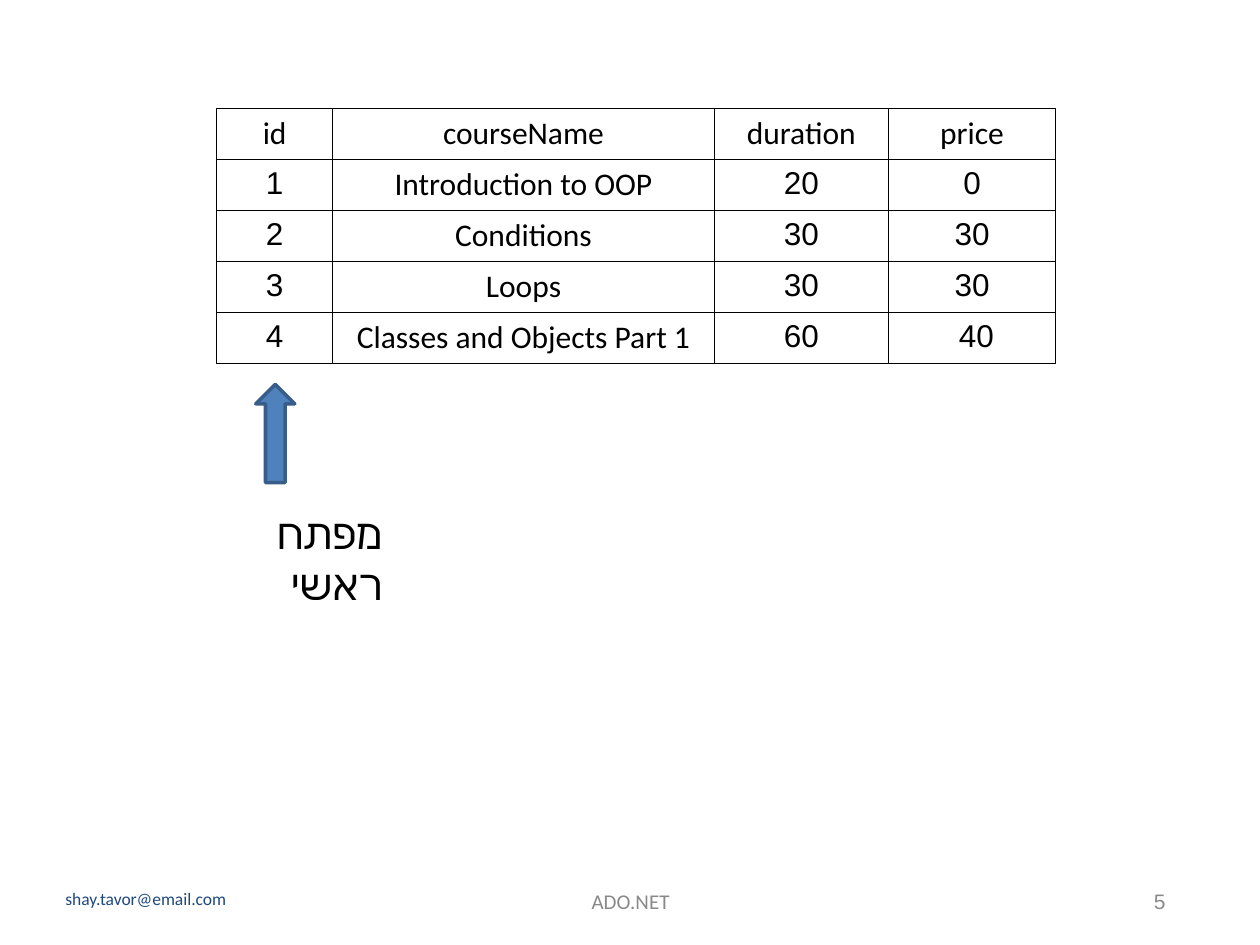
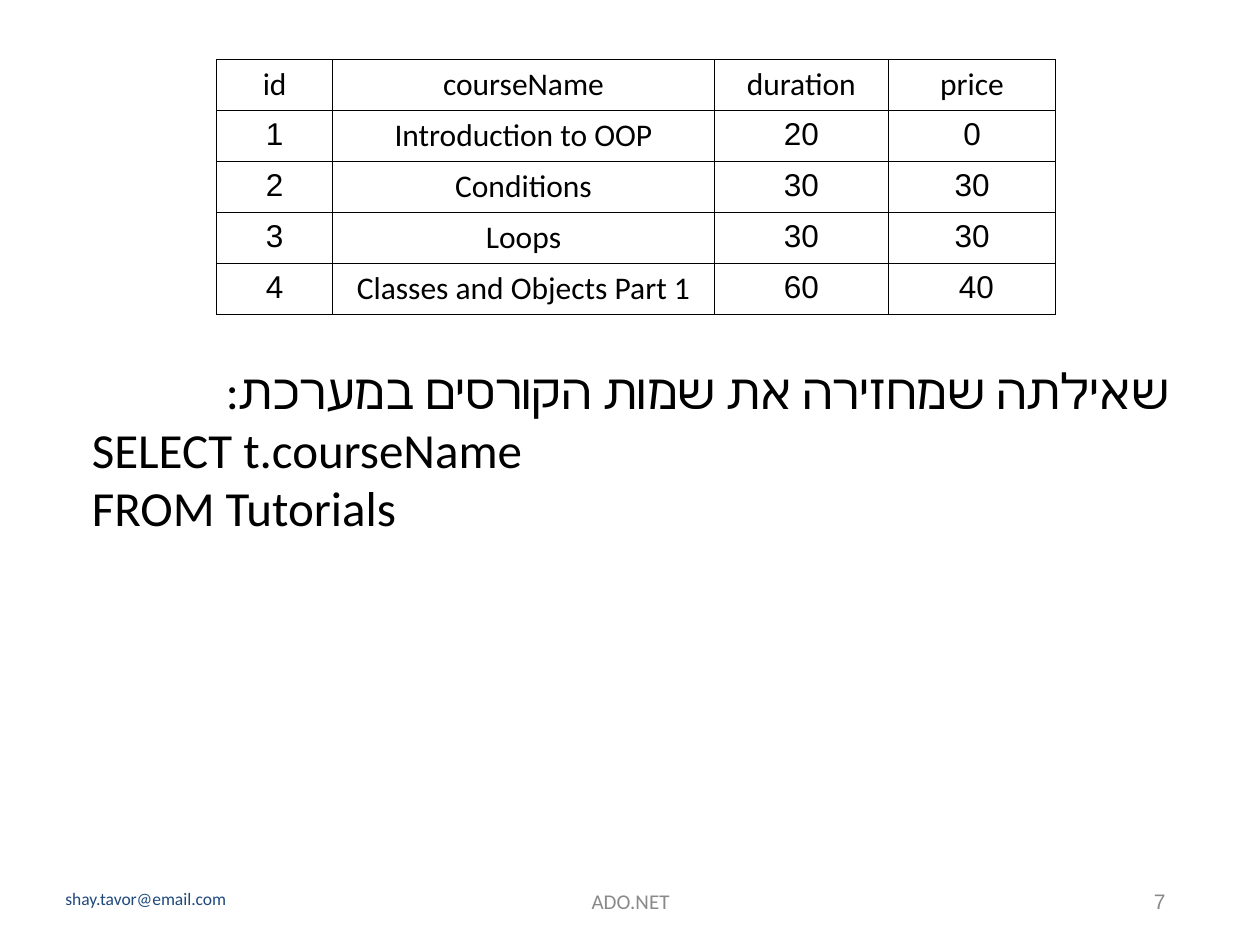
from dataclasses import dataclass

from lxml.etree import SubElement
from pptx import Presentation
from pptx.dml.color import RGBColor
from pptx.enum.shapes import MSO_SHAPE
from pptx.enum.text import MSO_ANCHOR, MSO_AUTO_SIZE, PP_ALIGN
from pptx.oxml.ns import qn
from pptx.util import Emu, Inches, Pt

COLORS = {"text": "000000", "email": "1F497D", "footer": "898989",
          "arrow": "4F81BD", "arrow_edge": "385D8A", "border": "000000"}
FONT = "Calibri"
DIGIT_FONT = "Arial"  # complex-script face, used for right-to-left digits
WIDTH, HEIGHT = Inches(10), Inches(7.5)
BLANK_LAYOUT = 6

COURSES = [
    ("id", "courseName", "duration", "price"),
    ("1", "Introduction to OOP", "20", "0"),
    ("2", "Conditions", "30", "30"),
    ("3", "Loops", "30", "30"),
    ("4", "Classes and Objects Part 1", "60", "40 "),
]
COLUMN_SHARES = (9.2, 30.3, 13.8, 13.3)


@dataclass(frozen=True)
class Area:
    """A rectangle in percent of the slide's width and height."""
    left: float
    top: float
    width: float
    height: float

    def lengths(self) -> tuple:
        return (Emu(int(WIDTH * self.left / 100)), Emu(int(HEIGHT * self.top / 100)),
                Emu(int(WIDTH * self.width / 100)), Emu(int(HEIGHT * self.height / 100)))


@dataclass(frozen=True)
class Line:
    """One paragraph and its format."""
    text: str
    size: float
    color: str = "text"
    align: PP_ALIGN = PP_ALIGN.LEFT
    rtl: bool = False
    complex_font: str = FONT


EMAIL_AREA = Area(4.2, 93.33, 28.1, 3.6)
FOOTER_AREA = Area(34.2, 92.67, 31.7, 5.33)
NUMBER_AREA = Area(90.6, 92.67, 4.4, 5.33)


def rgb(name: str) -> RGBColor:
    return RGBColor.from_string(COLORS[name])


def write(para, line: Line) -> None:
    para.alignment = line.align
    if line.rtl:
        para._p.get_or_add_pPr().set("rtl", "1")
    span = para.add_run()
    span.text = line.text
    for key, value in {"size": Pt(line.size), "name": FONT}.items():
        setattr(span.font, key, value)
    span.font.color.rgb = rgb(line.color)
    SubElement(span._r.get_or_add_rPr(), qn("a:cs"), typeface=line.complex_font)


def add_text(page, area: Area, lines: list[Line], middle: bool = False) -> None:
    frame = page.shapes.add_textbox(*area.lengths()).text_frame
    settings = {
        "word_wrap": True,
        "vertical_anchor": MSO_ANCHOR.MIDDLE if middle else MSO_ANCHOR.TOP,
        "auto_size": MSO_AUTO_SIZE.NONE if middle else MSO_AUTO_SIZE.SHAPE_TO_FIT_TEXT,
    }
    for key, value in settings.items():
        setattr(frame, key, value)
    for index, line in enumerate(lines):
        write(frame.add_paragraph() if index else frame.paragraphs[0], line)


def add_borders(cell) -> None:
    properties = cell._tc.get_or_add_tcPr()
    for side in ("lnL", "lnR", "lnT", "lnB"):
        edge = SubElement(properties, qn(f"a:{side}"), w=str(Pt(0.45)))
        fill = SubElement(edge, qn("a:solidFill"))
        SubElement(fill, qn("a:srgbClr"), val=COLORS["border"])


def add_courses(page, top: float) -> None:
    area = Area(17.2, top, sum(COLUMN_SHARES), 27)
    table = page.shapes.add_table(len(COURSES), len(COLUMN_SHARES), *area.lengths()).table
    for key in ("first_row", "horz_banding"):
        setattr(table, key, False)
    for column, share in zip(table.columns, COLUMN_SHARES):
        column.width = int(WIDTH * share / 100)
    for row, values in enumerate(COURSES):
        for column, value in enumerate(values):
            cell = table.cell(row, column)
            add_borders(cell)
            cell.fill.background()
            write(cell.text_frame.paragraphs[0],
                  Line(value, 18, align=PP_ALIGN.CENTER, rtl=True, complex_font=DIGIT_FONT))


def add_key_arrow(page, area: Area) -> None:
    arrow = page.shapes.add_shape(MSO_SHAPE.UP_ARROW, *area.lengths())
    arrow.shadow.inherit = False
    arrow.fill.solid()
    arrow.fill.fore_color.rgb = rgb("arrow")
    arrow.line.color.rgb = rgb("arrow_edge")
    arrow.line.width = Pt(2)


def add_page(deck, number: int, table_top: float):
    """Add a slide with the shared footer and course table."""
    page = deck.slides.add_slide(deck.slide_layouts[BLANK_LAYOUT])
    for holder in list(page.placeholders):
        holder._element.getparent().remove(holder._element)
    add_text(page, EMAIL_AREA, [Line("shay.tavor@email.com", 10, "email")])
    add_text(page, FOOTER_AREA,
             [Line("ADO.NET", 12, "footer", PP_ALIGN.CENTER, True)], middle=True)
    add_text(page, NUMBER_AREA,
             [Line(str(number), 12, "footer", rtl=True, complex_font=DIGIT_FONT)], middle=True)
    add_courses(page, table_top)
    return page


def main() -> None:
    deck = Presentation()
    deck.slide_width, deck.slide_height = WIDTH, HEIGHT

    # Primary key
    page = add_page(deck, 5, 11.47)
    add_key_arrow(page, Area(20.3, 40.67, 3.1, 10.4))
    add_text(page, Area(13.3, 53.07, 18, 12),
             [Line("מפתח ראשי", 24, align=PP_ALIGN.RIGHT, rtl=True)])

    # Query for the course names
    page = add_page(deck, 7, 6.27)
    add_text(page, Area(6.3, 37.47, 87.5, 20), [
        Line("שאילתה שמחזירה את שמות הקורסים במערכת:", 28, align=PP_ALIGN.RIGHT, rtl=True),
        Line("SELECT t.courseName", 28),
        Line("FROM Tutorials", 28),
    ])

    deck.save("out.pptx")


if __name__ == "__main__":
    main()
